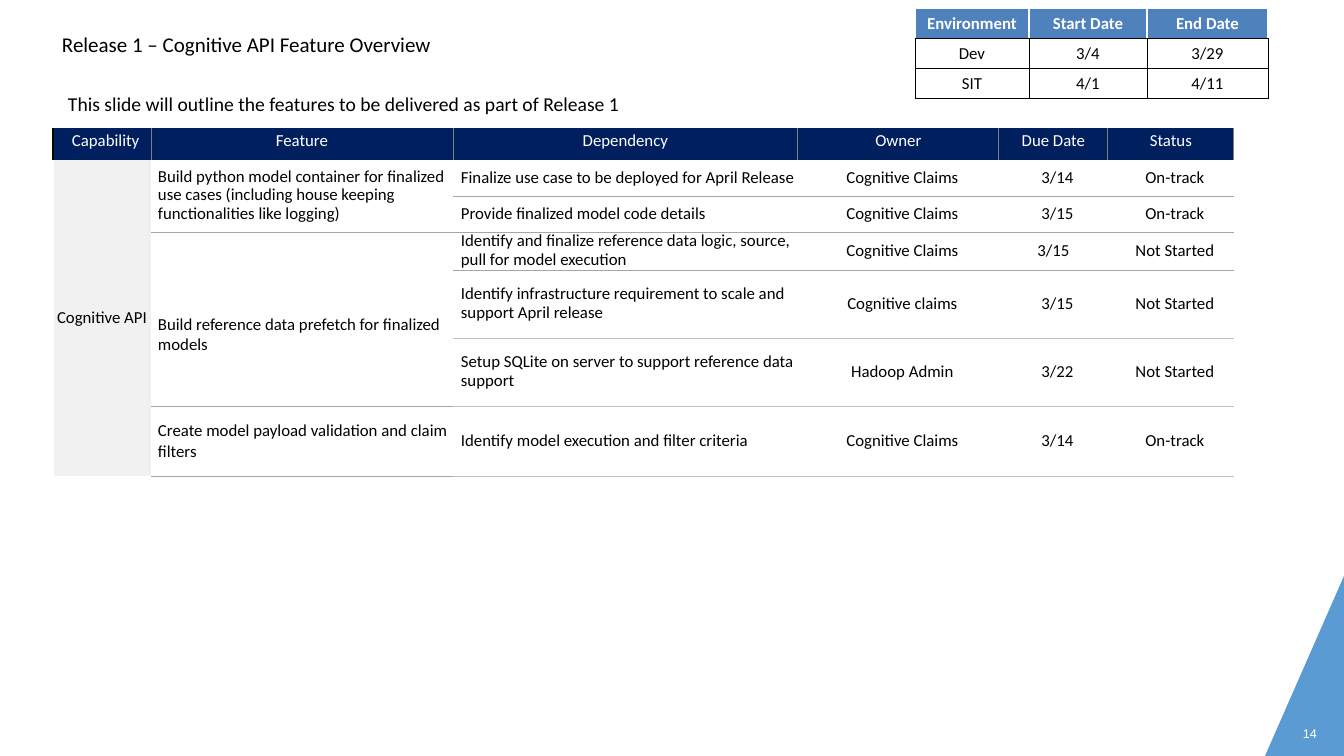
import pptx
import pptx.dml.color
import pptx.enum.text
import pptx.oxml
import pptx.oxml.ns
import pptx.util

RGB = pptx.dml.color.RGBColor
ALIGN = pptx.enum.text.PP_ALIGN
ANCHOR = pptx.enum.text.MSO_ANCHOR

# Content
TITLE = "Release 1 – Cognitive API Feature Overview"
SUBTITLE = "This slide will outline the features to be delivered as part of Release 1"
PAGE_NUMBER = "14"
ENVIRONMENTS = [
    ("Environment", "Start Date", "End Date"),
    ("Dev", "3/4", "3/29"),
    ("SIT", "4/1", "4/11"),
]
HEADINGS = ("Capability", "Feature", "Dependency", "Owner", "Due Date", "Status")
CAPABILITY = "Cognitive API"
# Each feature: text, line spacing in points, top margin in px, dependencies
FEATURES = [
    ("Build python model container for finalized use cases "
     "(including house keeping functionalities like logging)", 13.4, 0, [
        ("Finalize use case to be deployed for April Release", "Cognitive Claims", "3/14", "On-track"),
        ("Provide finalized model code details", "Cognitive Claims", "3/15", "On-track"),
     ]),
    ("Build reference data prefetch for finalized models", None, 31, [
        ("Identify and finalize reference data logic, source, pull for model execution",
         "Cognitive Claims", "3/15", "Not Started"),
        ("Identify infrastructure requirement to scale and support April release",
         "Cognitive claims", "3/15", "Not Started"),
        ("Setup SQLite on server to support reference data support",
         "Hadoop Admin", "3/22", "Not Started"),
     ]),
    ("Create model payload validation and claim filters", None, 0, [
        ("Identify model execution and filter criteria", "Cognitive Claims", "3/14", "On-track"),
     ]),
]

# Layout in px
PX = 914400 / 100.8
SLIDE_SIZE = (1344, 756)
CORNER = [(1344, 576), (1265, 756), (1344, 756)]
TITLE_BOX = (62, 30, 667, 85)
NUMBER_BOX = (1303, 726, 20, 17)
ENVIRONMENT_AT, ENVIRONMENT_COLUMNS, ENVIRONMENT_ROWS = (915, 8), (114, 118, 121), (30, 30, 30)
FEATURE_AT = (53, 128)
FEATURE_COLUMNS = (98, 302, 345, 201, 109, 126)
FEATURE_ROWS = (32, 36, 36, 38, 68, 68, 70)

WHITE, BLACK = RGB(0xFF, 0xFF, 0xFF), RGB(0, 0, 0)
CORNER_BLUE = RGB(0x5B, 0x9B, 0xD4)
HEADER_BLUE = RGB(0x4F, 0x81, 0xBD)
NAVY = RGB(0x00, 0x1F, 0x5F)
PALE_GREY = RGB(0xF1, 0xF1, 0xF1)
DIVIDER = RGB(0x7E, 0x7E, 0x7E)
RULE = RGB(0xA6, 0xA6, 0xA6)
LIGHT_RULE = RGB(0xBF, 0xBF, 0xBF)
PLAIN_STYLE = "{2D5ABB26-0587-4C30-8999-92F81FD0307C}"


def px(length):
    return pptx.util.Emu(round(length * PX))


def write(paragraph, text, size=12, color=BLACK, font="Calibri", bold=False,
          align=ALIGN.LEFT, before=0, spacing=None):
    run = paragraph.add_run()
    run.text = text
    run.font.size = pptx.util.Pt(size)
    run.font.name = font
    run.font.bold = bold
    run.font.color.rgb = color
    paragraph.alignment = align
    if before:
        paragraph.space_before = pptx.util.Pt(before)
    if spacing:
        paragraph.line_spacing = pptx.util.Pt(spacing)


def add_text_frame(slide, box, top=0):
    frame = slide.shapes.add_textbox(*map(px, box)).text_frame
    frame.word_wrap = True
    frame.margin_left = frame.margin_right = frame.margin_bottom = 0
    frame.margin_top = px(top)
    return frame


def add_table(slide, at, columns, rows):
    table = slide.shapes.add_table(len(rows), len(columns), *map(px, at),
                                   px(sum(columns)), px(sum(rows))).table
    table.first_row = table.horz_banding = False
    table._tbl.tblPr.find(pptx.oxml.ns.qn("a:tableStyleId")).text = PLAIN_STYLE
    for column, width in zip(table.columns, columns):
        column.width = px(width)
    for row, height in zip(table.rows, rows):
        row.height = px(height)
    return table


def style_cell(cell, fill=None, **borders):
    """Borders are keyed L, R, T, B with a colour and a width in points."""
    properties = cell._tc.get_or_add_tcPr()
    for side in "LRTB":
        if borders.get(side):
            color, width = borders[side]
            properties.append(pptx.oxml.parse_xml(
                f'<a:ln{side} {pptx.oxml.ns.nsdecls("a")} w="{pptx.util.Pt(width)}">'
                f'<a:solidFill><a:srgbClr val="{color}"/></a:solidFill></a:ln{side}>'))
    if fill is None:
        cell.fill.background()
    else:
        cell.fill.solid()
        cell.fill.fore_color.rgb = fill


def fill_cell(cell, text, left=0, top=0, anchor=ANCHOR.MIDDLE, **text_format):
    cell.margin_left, cell.margin_top = px(left), px(top)
    cell.margin_right = cell.margin_bottom = 0
    cell.vertical_anchor = anchor
    write(cell.text_frame.paragraphs[0], text, **text_format)


def add_environment_table(slide):
    table = add_table(slide, ENVIRONMENT_AT, ENVIRONMENT_COLUMNS, ENVIRONMENT_ROWS)
    black, white = (BLACK, 0.75), (WHITE, 1)
    for i, row in enumerate(ENVIRONMENTS):
        header = i == 0
        edge = white if header else black
        for j, text in enumerate(row):
            cell = table.cell(i, j)
            style_cell(cell, HEADER_BLUE if header else None, L=edge, R=edge, T=edge, B=black)
            write(cell.text_frame.paragraphs[0], text, bold=header, align=ALIGN.CENTER,
                  color=WHITE if header else BLACK)


def add_feature_table(slide):
    table = add_table(slide, FEATURE_AT, FEATURE_COLUMNS, FEATURE_ROWS)
    last = len(FEATURE_ROWS) - 1

    # Header row
    for j, heading in enumerate(HEADINGS):
        cell = table.cell(0, j)
        style_cell(cell, NAVY, L=(DIVIDER, 0.75) if j else (BLACK, 1), R=(DIVIDER, 0.75))
        fill_cell(cell, heading, left=0 if j else 19, top=3, anchor=ANCHOR.TOP, color=WHITE,
                  align=ALIGN.CENTER if j else ALIGN.LEFT)

    # Capability column
    for i in range(1, last + 1):
        style_cell(table.cell(i, 0), PALE_GREY, L=(WHITE, 1))
    table.cell(1, 0).merge(table.cell(last, 0))
    fill_cell(table.cell(1, 0), CAPABILITY, align=ALIGN.CENTER)

    # Features with their dependencies
    first = 1
    for feature, spacing, top, dependencies in FEATURES:
        end = first + len(dependencies) - 1
        for i, dependency in enumerate(dependencies, first):
            style_cell(table.cell(i, 1),
                       T=(RULE, 0.75) if i == first > 1 else None,
                       B=(RULE, 0.75) if i == end else None)
            for j, text in enumerate(dependency, 2):
                cell = table.cell(i, j)
                style_cell(cell, T=(LIGHT_RULE if i > 4 else RULE, 0.75) if i > 1 else None,
                           B=(LIGHT_RULE if i > 3 else RULE, 0.75))
                fill_cell(cell, text, left=0 if (i, j) == (3, 4) else 8, spacing=13.7,
                          align=ALIGN.LEFT if j == 2 else ALIGN.CENTER)
        if end > first:
            table.cell(first, 1).merge(table.cell(end, 1))
        fill_cell(table.cell(first, 1), feature, left=7, top=top, spacing=spacing)
        first = end + 1


def main():
    presentation = pptx.Presentation()
    presentation.slide_width, presentation.slide_height = map(px, SLIDE_SIZE)
    slide = presentation.slides.add_slide(presentation.slide_layouts[6])

    # Corner wedge and page number
    builder = slide.shapes.build_freeform(*CORNER[0], scale=PX)
    builder.add_line_segments(CORNER[1:], close=True)
    wedge = builder.convert_to_shape()
    wedge.shadow.inherit = False
    wedge.fill.solid()
    wedge.fill.fore_color.rgb = CORNER_BLUE
    wedge.line.fill.background()
    number = add_text_frame(slide, NUMBER_BOX)
    write(number.paragraphs[0], PAGE_NUMBER, size=9, color=WHITE, font="Arial")

    # Title and subtitle
    heading = add_text_frame(slide, TITLE_BOX, top=2)
    write(heading.paragraphs[0], TITLE, size=15)
    subtitle = heading.add_paragraph()
    subtitle._p.get_or_add_pPr().set("marL", str(px(6)))
    write(subtitle, SUBTITLE, size=14, before=25)

    add_environment_table(slide)
    add_feature_table(slide)
    presentation.save("out.pptx")


if __name__ == "__main__":
    main()
